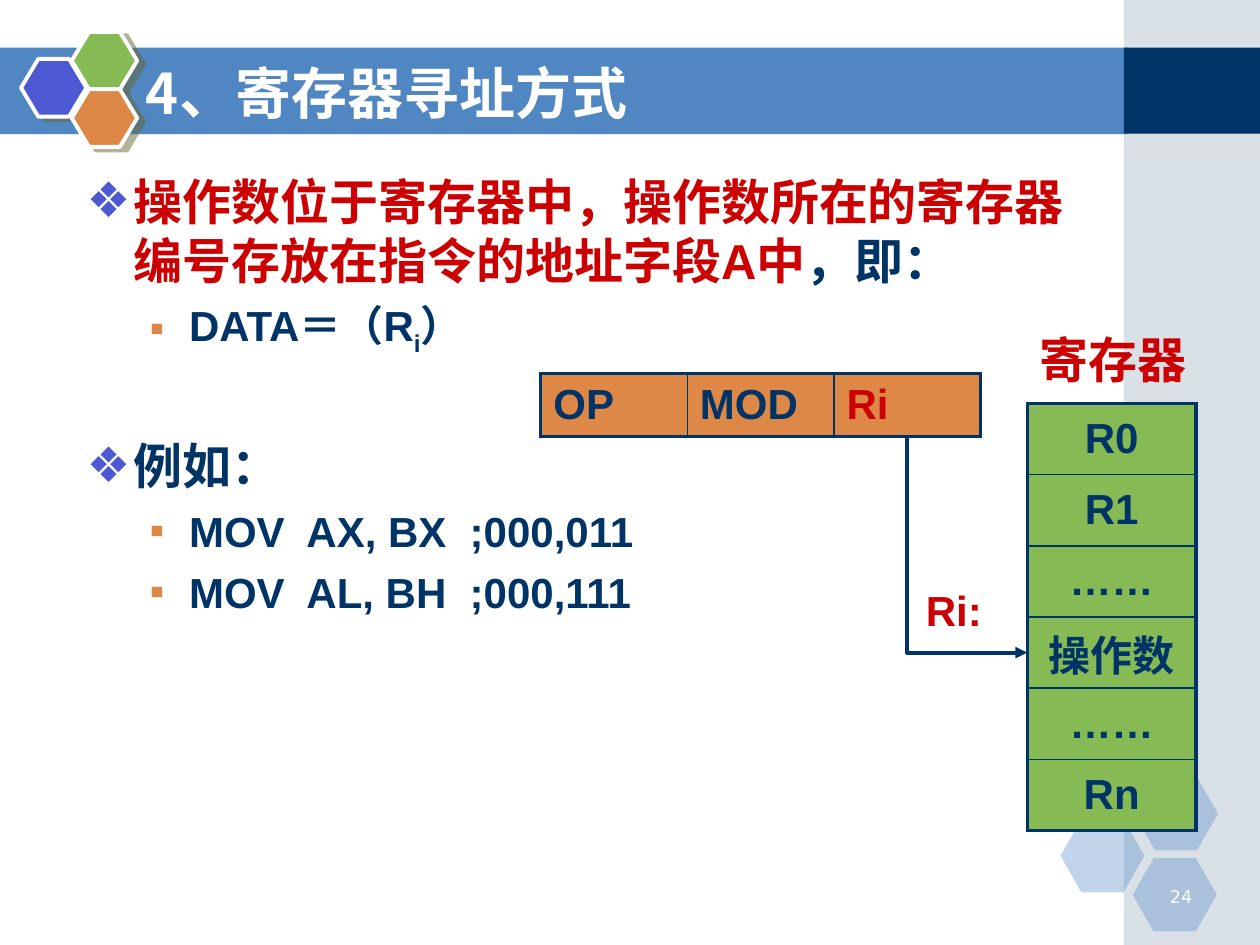
from dataclasses import dataclass

from lxml import etree
from pptx import Presentation
from pptx import util as u
from pptx.dml import color
from pptx.enum import shapes, text
from pptx.oxml import ns

Pt = u.Pt
NAVY, RED, BLUE, WHITE = "003366", "CC0000", "5086C2", "FFFFFF"
VIOLET, GREEN, ORANGE = "4C59D2", "85BA54", "DE8848"
SHAPE = shapes.MSO_SHAPE
ALIGN = text.PP_ALIGN
MIDDLE = text.MSO_ANCHOR.MIDDLE


@dataclass
class Block:
    left: float
    top: float
    width: float
    height: float
    fill: str
    opacity: int = 100
    kind: SHAPE = SHAPE.RECTANGLE
    corner: float = 0
    outlined: bool = False


@dataclass
class Label:
    left: float
    top: float
    width: float
    height: float
    words: str
    size: float
    ink: str
    bold: bool = True
    face: str = "Arial"
    align: ALIGN = ALIGN.LEFT
    anchor: text.MSO_ANCHOR = text.MSO_ANCHOR.TOP


@dataclass
class Bullet:
    mark: str
    ink: str
    margin: float
    hanging: float
    size: float


@dataclass
class Item:
    bullet: Bullet
    spans: list[str]
    before: float = 6


def rgb(value: str) -> color.RGBColor:
    return color.RGBColor.from_string(value)


def child(parent, tag: str, **attributes):
    element = etree.SubElement(parent, ns.qn(f"a:{tag}"))
    for name, value in attributes.items():
        element.set(name, str(value))
    return element


def set_font(font, size: float, ink: str, bold: bool = True, face: str = "Arial") -> None:
    font.size, font.bold, font.name = Pt(size), bold, face
    font.color.rgb = rgb(ink)


def draw_block(page, block: Block) -> None:
    shape = page.shapes.add_shape(
        block.kind, Pt(block.left), Pt(block.top), Pt(block.width), Pt(block.height))
    shape.shadow.inherit = False
    shape.fill.solid()
    shape.fill.fore_color.rgb = rgb(block.fill)
    properties = shape._element.spPr
    if block.opacity < 100:
        tint = properties.find(f".//{ns.qn('a:srgbClr')}")
        child(tint, "alpha", val=block.opacity * 1000)
    if block.corner:
        shape.adjustments[0] = block.corner
    if block.outlined:
        shape.line.color.rgb = rgb(WHITE)
        shape.line.width = Pt(2.25)
        effects = properties.find(ns.qn("a:effectLst"))
        shadow = child(effects, "outerShdw", dist=Pt(4.5), dir=27 * 60000,
                       algn="ctr", rotWithShape=0)
        child(child(shadow, "srgbClr", val="666633"), "alpha", val=50000)
    else:
        shape.line.fill.background()


def draw_label(page, label: Label) -> None:
    box = page.shapes.add_textbox(
        Pt(label.left), Pt(label.top), Pt(label.width), Pt(label.height))
    box.text_frame.word_wrap = True
    box.text_frame.vertical_anchor = label.anchor
    para = box.text_frame.paragraphs[0]
    para.text = label.words
    para.alignment = label.align
    set_font(para.font, label.size, label.ink, label.bold, label.face)


def set_bullet(para, bullet: Bullet) -> None:
    properties = para._p.get_or_add_pPr()
    properties.set("marL", str(Pt(bullet.margin)))
    properties.set("indent", str(Pt(-bullet.hanging)))
    child(child(properties, "buClr"), "srgbClr", val=bullet.ink)
    child(properties, "buFont", typeface="Arial")
    child(properties, "buChar", char=bullet.mark)


def draw_body(page, items: list[Item]) -> None:
    box = page.shapes.add_textbox(Pt(42.5), Pt(94.5), Pt(595.5), Pt(317.5))
    frame = box.text_frame
    frame.word_wrap = True
    for index, item in enumerate(items):
        para = frame.paragraphs[0] if index == 0 else frame.add_paragraph()
        set_bullet(para, item.bullet)
        para.space_before = Pt(item.before)
        set_font(para.font, item.bullet.size, NAVY)
        for words in item.spans:
            para.add_run().text = words
    frame.paragraphs[0].runs[0].font.color.rgb = rgb(RED)
    subscript = frame.paragraphs[1].runs[1]
    subscript.font._element.set("baseline", "-25000")


def draw_table(page, left: float, top: float, column: float, row: float,
               cells: list[list[str]], fill: str, align: ALIGN) -> None:
    rows, columns = len(cells), len(cells[0])
    table = page.shapes.add_table(
        rows, columns, Pt(left), Pt(top), Pt(column * columns), Pt(row * rows)).table
    table.first_row = table.horz_banding = False
    for r, line in enumerate(cells):
        for c, words in enumerate(line):
            cell = table.cell(r, c)
            cell.vertical_anchor = MIDDLE
            para = cell.text_frame.paragraphs[0]
            para.text = words
            para.alignment = align
            set_font(para.font, 24, RED if words == "Ri" else NAVY)
            outer = {"lnL": c == 0, "lnR": c == columns - 1,
                     "lnT": r == 0, "lnB": r == rows - 1}
            for side, is_outer in outer.items():
                border = child(cell._tc.get_or_add_tcPr(), side,
                               w=Pt(2.25 if is_outer else 1))
                child(child(border, "solidFill"), "srgbClr", val=NAVY)
            cell.fill.solid()
            cell.fill.fore_color.rgb = rgb(fill)


def draw_pointer(page) -> None:
    pointer = page.shapes.add_connector(
        shapes.MSO_CONNECTOR.ELBOW, Pt(614.4), Pt(277), Pt(491), Pt(345.4))
    pointer.line.color.rgb = rgb(NAVY)
    pointer.line.width = Pt(2.25)
    properties = pointer._element.spPr
    properties.find(ns.qn("a:xfrm")).set("rot", str(270 * 60000))
    properties.find(ns.qn("a:prstGeom")).set("prst", "bentConnector2")
    child(properties.find(ns.qn("a:ln")), "tailEnd", type="triangle")
    child(properties, "effectLst")


def main() -> None:
    deck = Presentation()
    deck.slide_width, deck.slide_height = Pt(720), Pt(540)
    page = deck.slides.add_slide(deck.slide_layouts[6])

    blocks = [Block(0, 27.2, 644.5, 49.5, BLUE),
              Block(642.2, 0, 77.8, 540, "A0B5C4", 40),
              Block(642.2, 27.2, 77.8, 49.2, NAVY)]
    blocks += [Block(left, top, 48, 42, BLUE, 35, SHAPE.HEXAGON, 0.286)
               for left, top in ((606, 468), (648, 444), (647.3, 490.3))]
    blocks += [Block(left, top, 37.4, 33, fill, 100, SHAPE.HEXAGON, 0.3, True)
               for left, top, fill in
               ((12, 33.7, VIOLET), (41, 18.2, GREEN), (41, 51, ORANGE))]
    for block in blocks:
        draw_block(page, block)

    topic = Bullet("❖", VIOLET, 27, 27, 28)
    detail = Bullet("▪", ORANGE, 58.5, 22.5, 24)
    draw_body(page, [
        Item(topic, ["操作数位于寄存器中，操作数所在的寄存器编号存放在指令的地址字段A中",
                     "，即："], 0),
        Item(detail, ["DATA＝（R", "i", "）"]),
        Item(topic, ["例如："], 45),
        Item(detail, ["MOV  AX, BX  ;000,011"]),
        Item(detail, ["MOV  AL, BH  ;000,111"])])

    draw_table(page, 309, 213.5, 83.8, 36, [["OP", "MOD", "Ri"]], ORANGE, ALIGN.LEFT)
    registers = ["R0", "R1", "……", "操作数", "……", "Rn"]
    draw_table(page, 587, 230.5, 96.5, 40.7, [[name] for name in registers],
               GREEN, ALIGN.CENTER)
    draw_pointer(page)

    for label in (
            Label(652.3, 502.6, 36, 18, "24", 10, WHITE, False, "DejaVu Sans", ALIGN.RIGHT),
            Label(522, 330.5, 68.4, 36, "Ri:", 24, RED),
            Label(587, 185, 109.4, 41, "寄存器", 28, RED),
            Label(76.3, 30.2, 617.8, 44.6, "4、寄存器寻址方式", 32, WHITE,
                  face="Noto Sans CJK SC", anchor=MIDDLE)):
        draw_label(page, label)

    deck.save("out.pptx")


if __name__ == "__main__":
    main()
